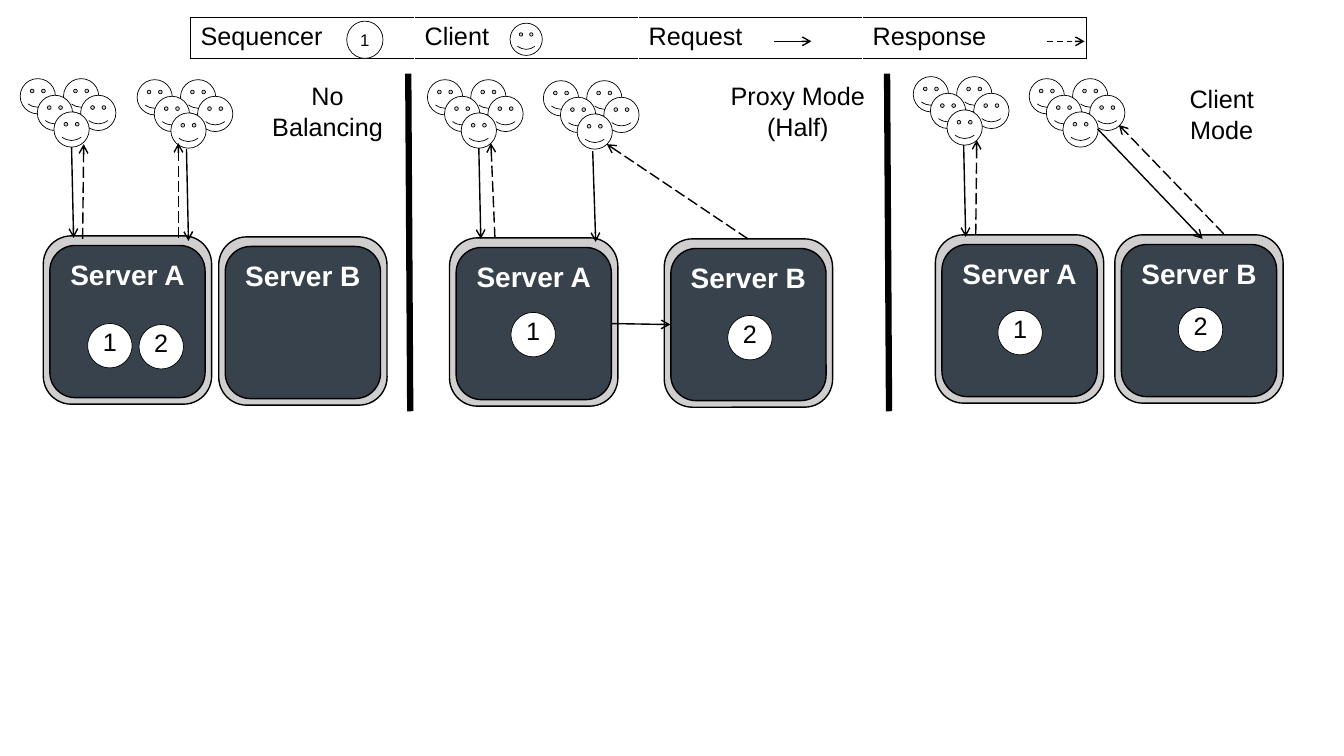
import pptx
import pptx.dml.color
import pptx.enum.dml
import pptx.enum.shapes
import pptx.enum.text
import pptx.oxml
import pptx.oxml.ns
import pptx.util

COLORS = {"ink": "000000", "paper": "FFFFFF", "rim": "D0CECE", "server": "38424C"}
RGB = {name: pptx.dml.color.RGBColor.from_string(code) for name, code in COLORS.items()}
KINDS = pptx.enum.shapes.MSO_SHAPE
ANCHORS = pptx.enum.text.MSO_ANCHOR
ALIGN = pptx.enum.text.PP_ALIGN
DASHES = pptx.enum.dml.MSO_LINE

deck = pptx.Presentation()
deck.slide_width = pptx.util.Inches(13.333)
deck.slide_height = pptx.util.Inches(7.5)
page = deck.slides.add_slide(deck.slide_layouts[6])

# The page is a grid of 1333 columns by 750 rows; all places count in its units
UNIT = deck.slide_height // 750


def write(frame, text, size=18, color="ink", bold=False, align=ALIGN.CENTER,
          anchor=ANCHORS.TOP, side=10):
    frame.word_wrap = True
    frame.vertical_anchor = anchor
    frame.margin_left = frame.margin_right = side * UNIT
    frame.text = text
    for para in frame.paragraphs:
        para.alignment = align
        for span in para.runs:
            span.font.name = "Arial"
            span.font.size = pptx.util.Pt(size)
            span.font.bold = bold
            span.font.color.rgb = RGB[color]


def draw(kind, left, top, width, height, fill="paper", weight=0.5):
    box = page.shapes.add_shape(kind, *(round(n * UNIT) for n in (left, top, width, height)))
    box.shadow.inherit = False
    box.fill.solid()
    box.fill.fore_color.rgb = RGB[fill]
    box.line.color.rgb = RGB["ink"]
    box.line.width = pptx.util.Pt(weight)
    return box


# Legend table: black frame, white inner rules
labels = ["Sequencer", "Client", "Request", "Response"]
legend = page.shapes.add_table(1, len(labels), 189 * UNIT, 17 * UNIT, 889 * UNIT, 41 * UNIT).table
legend.rows[0].height = 41 * UNIT
for index, label in enumerate(labels):
    cell = legend.cell(0, index)
    write(cell.text_frame, label, align=ALIGN.LEFT)
    cell.fill.solid()
    cell.fill.fore_color.rgb = RGB["paper"]
    edges = {
        "lnL": "ink" if index == 0 else "paper",
        "lnR": "ink" if index == len(labels) - 1 else "paper",
        "lnT": "ink",
        "lnB": "ink",
    }
    for place, (edge, color) in enumerate(edges.items()):
        border = pptx.oxml.parse_xml(
            f'<a:{edge} {pptx.oxml.ns.nsdecls("a")} w="12700"><a:solidFill>'
            f'<a:srgbClr val="{COLORS[color]}"/></a:solidFill></a:{edge}>')
        cell._tc.get_or_add_tcPr().insert(place, border)

# Servers: a grey rim around a dark body
servers = [
    ("Server A", 43, 234), ("Server B", 217, 235),
    ("Server A", 446, 236), ("Server B", 659, 237),
    ("Server A", 928, 233), ("Server B", 1106, 233),
]
for name, left, top in servers:
    draw(KINDS.ROUNDED_RECTANGLE, left, top, 167, 167, "rim", 1)
    body = draw(KINDS.ROUNDED_RECTANGLE, left + 6.5, top + 9.5, 154, 151, "server", 1)
    write(body.text_frame, name, size=20, color="paper", bold=True)

# Sequencers
sequencers = [
    ("2", 138, 322), ("1", 87, 321), ("2", 722, 313),
    ("1", 507, 310), ("2", 1169, 305), ("1", 990, 308),
]
for number, left, top in sequencers:
    circle = draw(KINDS.OVAL, left, top, 44, 44)
    write(circle.text_frame, number, anchor=ANCHORS.BOTTOM, side=0)

legend_circle = draw(KINDS.OVAL, 344, 21, 36, 37)
write(legend_circle.text_frame, "1", size=12, anchor=ANCHORS.MIDDLE, side=0)

# Clients: clusters of five faces
clusters = [(20, 78), (136, 79), (424, 79), (539, 80), (906, 76), (1021, 78)]
faces = [(0, 0), (43, 0), (60, 16.5), (17, 16.5), (33.5, 33)]
for left, top in clusters:
    for across, down in faces:
        draw(KINDS.SMILEY_FACE, left + across, top + down, 35, 35)
draw(KINDS.SMILEY_FACE, 506, 23, 32, 32)

# Mode captions
captions = [
    ("No Balancing", 245, 75, 160),
    ("Proxy Mode\n(Half)", 700, 75, 183),
    ("Client\nMode", 1132, 78, 160),
]
for caption, left, top, width in captions:
    box = page.shapes.add_textbox(left * UNIT, top * UNIT, width * UNIT, 71 * UNIT)
    write(box.text_frame, caption)

# Requests, responses and dividers, each line as x1, y1, x2, y2
line_styles = [
    # weight, dash, arrowhead, lines
    (1, None, True, [
        (71, 146, 73, 236), (185, 148, 187, 239),
        (475, 147, 477, 237), (588, 150, 591, 240),
        (956, 144, 958, 235), (1089, 128, 1193, 237),
        (606, 321, 665, 322), (768, 41, 805, 41),
    ]),
    (1, DASHES.LONG_DASH, True, [
        (82, 237, 83, 143), (177, 236, 177, 142),
        (491, 236, 487, 142), (742, 237, 602, 143),
        (968, 233, 969, 139), (1214, 232, 1110, 124),
    ]),
    (1, DASHES.DASH, True, [(1039, 41, 1076, 41)]),
    (4.5, None, False, [(405, 73, 407, 408), (880, 73, 882, 408)]),
]
for weight, dash, arrowhead, lines in line_styles:
    for ends in lines:
        line = page.shapes.add_connector(
            pptx.enum.shapes.MSO_CONNECTOR.STRAIGHT, *(n * UNIT for n in ends))
        line.line.color.rgb = RGB["ink"]
        line.line.width = pptx.util.Pt(weight)
        if dash:
            line.line.dash_style = dash
        if arrowhead:
            line.line._get_or_add_ln().append(pptx.oxml.parse_xml(
                f'<a:tailEnd {pptx.oxml.ns.nsdecls("a")} type="arrow"/>'))
        line._element.spPr.append(pptx.oxml.parse_xml(
            f'<a:effectLst {pptx.oxml.ns.nsdecls("a")}/>'))

deck.save("out.pptx")
